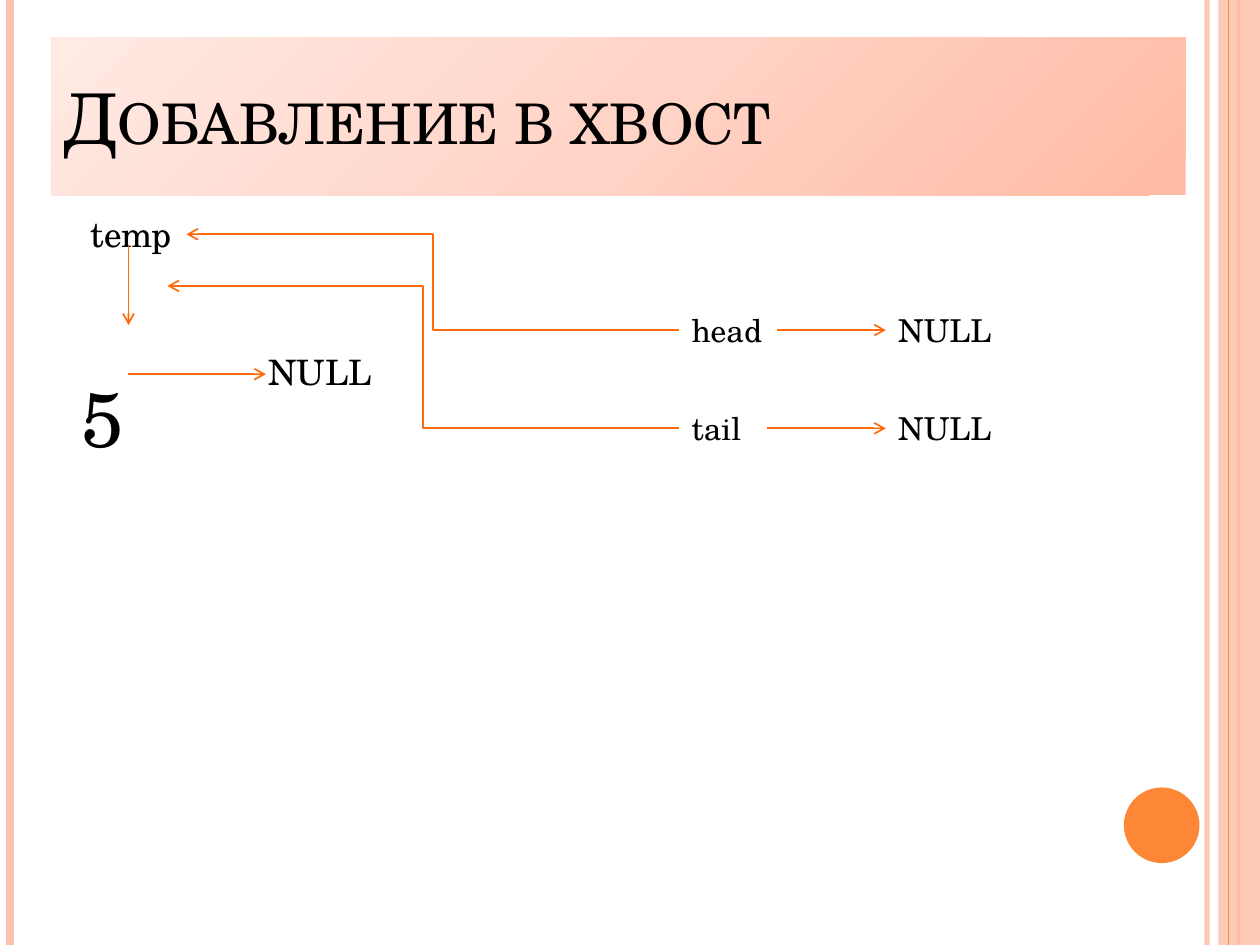
from dataclasses import dataclass
from typing import Optional

from lxml import etree
from pptx import Presentation
from pptx.dml.color import RGBColor
from pptx.enum.shapes import MSO_CONNECTOR, MSO_SHAPE
from pptx.enum.text import MSO_ANCHOR, MSO_AUTO_SIZE, PP_ALIGN
from pptx.oxml import parse_xml
from pptx.oxml.ns import nsdecls, qn
from pptx.util import Inches, Pt

STRAIGHT, ELBOW = MSO_CONNECTOR.STRAIGHT, MSO_CONNECTOR.ELBOW
RECTANGLE, OVAL = MSO_SHAPE.RECTANGLE, MSO_SHAPE.OVAL
LEFT_SIDE, RIGHT_SIDE = 1, 3
TITLE_ONLY = 5


@dataclass(frozen=True)
class Theme:
    font: str = "TeX Gyre Schola"
    text: str = "000000"
    arrow: str = "FF6B0A"
    accent: str = "FE8637"
    pale: str = "FEC3AE"
    gradient: tuple = ((0, "FFBBA3"), (50, "FFD4C7"), (100, "FFEAE4"))
    title_size: int = 40
    value_size: int = 44
    node_size: int = 20
    pointer_size: int = 18


@dataclass(frozen=True)
class Stripe:
    x: float
    color: str
    width: float
    opacity: int = 100


@dataclass(frozen=True)
class Label:
    name: str
    text: str
    left: float
    top: float
    width: float
    height: float
    size: int
    wrap: bool = True


@dataclass(frozen=True)
class Arrow:
    start: tuple
    end: tuple
    kind: int = STRAIGHT
    source: Optional[str] = None
    source_side: int = RIGHT_SIDE
    target: Optional[str] = None
    target_side: int = LEFT_SIDE


THEME = Theme()
HEAD_Y, TAIL_Y = 2.62, 3.4

STRIPES_BELOW = [
    Stripe(9.58, THEME.pale, 3, 93),
    Stripe(0.08, THEME.pale, 4.5),
    Stripe(9.83, THEME.accent, 1.5),
]
STRIPE_ABOVE = Stripe(9.75, THEME.accent, 0.75)

LABELS = [
    Label("temp", "temp", 0.62, 1.64, 0.86, 0.44, THEME.node_size, False),
    Label("value", "5", 0.55, 2.89, 0.39, 0.84, THEME.value_size),
    Label("next null", "NULL", 2.03, 2.73, 1.33, 0.44, THEME.node_size),
    Label("head", "head", 5.39, HEAD_Y - 0.2, 0.78, 0.4, THEME.pointer_size),
    Label("head null", "NULL", 7.03, HEAD_Y - 0.2, 1.17, 0.4, THEME.pointer_size),
    Label("tail", "tail", 5.39, TAIL_Y - 0.2, 0.7, 0.4, THEME.pointer_size),
    Label("tail null", "NULL", 7.03, TAIL_Y - 0.2, 1.09, 0.4, THEME.pointer_size),
]

ARROWS = [
    Arrow((1.02, 1.95), (1.02, 2.58)),
    Arrow((1.02, 2.97), (2.11, 2.97)),
    Arrow((6.17, HEAD_Y), (7.03, HEAD_Y), source="head", target="head null"),
    Arrow((6.09, TAIL_Y), (7.03, TAIL_Y), source="tail", target="tail null"),
    Arrow((5.39, TAIL_Y), (1.33, 2.27), ELBOW, "tail", LEFT_SIDE),
    Arrow((5.39, HEAD_Y), (1.49, 1.86), ELBOW, "head", LEFT_SIDE, "temp", RIGHT_SIDE),
]


def set_opacity(properties, percent: int) -> None:
    if percent < 100:
        color = next(properties.iter(qn("a:srgbClr")))
        etree.SubElement(color, qn("a:alpha")).set("val", str(percent * 1000))


def add_line(page, kind: int, start: tuple, end: tuple, color: str, width: float):
    line = page.shapes.add_connector(kind, *(Inches(v) for v in (*start, *end)))
    line.line.color.rgb = RGBColor.from_string(color)
    line.line.width = Pt(width)
    etree.SubElement(line._element.spPr, qn("a:effectLst"))
    return line


def add_stripe(page, stripe: Stripe) -> None:
    line = add_line(page, STRAIGHT, (stripe.x, 0), (stripe.x, 7.5), stripe.color, stripe.width)
    set_opacity(line._element.spPr, stripe.opacity)


def add_solid(page, kind: int, at: tuple, color: str, opacity: int = 100) -> None:
    shape = page.shapes.add_shape(kind, *(Inches(v) for v in at))
    shape.shadow.inherit = False
    shape.fill.solid()
    shape.fill.fore_color.rgb = RGBColor.from_string(color)
    shape.line.fill.background()
    set_opacity(shape._element.spPr, opacity)


def add_span(para, text: str, size: int):
    span = para.add_run()
    span.text = text
    span.font.name = THEME.font
    span.font.size = Pt(size)
    span.font.color.rgb = RGBColor.from_string(THEME.text)
    return span


def add_label(page, label: Label):
    box = page.shapes.add_textbox(
        Inches(label.left), Inches(label.top), Inches(label.width), Inches(label.height))
    box.text_frame.word_wrap = label.wrap
    box.text_frame.auto_size = MSO_AUTO_SIZE.SHAPE_TO_FIT_TEXT
    add_span(box.text_frame.paragraphs[0], label.text, label.size)
    return box


def add_arrow(page, arrow: Arrow, boxes: dict) -> None:
    line = add_line(page, arrow.kind, arrow.start, arrow.end, THEME.arrow, 1)
    if arrow.source:
        line.begin_connect(boxes[arrow.source], arrow.source_side)
    if arrow.target:
        line.end_connect(boxes[arrow.target], arrow.target_side)
    outline = line._element.spPr.find(qn("a:ln"))
    etree.SubElement(outline, qn("a:tailEnd")).set("type", "arrow")


def fill_title(page, text: str) -> None:
    title = page.shapes.title
    title.left, title.top = Inches(0.41), Inches(0.3)
    title.width, title.height = Inches(9), Inches(1.25)
    stops = "".join(
        f'<a:gs pos="{position * 1000}"><a:srgbClr val="{color}"/></a:gs>'
        for position, color in THEME.gradient)
    title._element.spPr.append(parse_xml(
        f'<a:gradFill {nsdecls("a")} rotWithShape="1"><a:gsLst>{stops}</a:gsLst>'
        '<a:lin ang="13500000" scaled="0"/></a:gradFill>'))
    frame = title.text_frame
    frame.word_wrap = True
    frame.auto_size = MSO_AUTO_SIZE.NONE
    frame.vertical_anchor = MSO_ANCHOR.MIDDLE
    para = frame.paragraphs[0]
    para.alignment = PP_ALIGN.LEFT
    span = add_span(para, text, THEME.title_size)
    span._r.get_or_add_rPr().set("cap", "small")


def main() -> None:
    deck = Presentation()
    deck.slide_width, deck.slide_height = Inches(10), Inches(7.5)
    page = deck.slides.add_slide(deck.slide_layouts[TITLE_ONLY])

    # Side decoration
    for stripe in STRIPES_BELOW:
        add_stripe(page, stripe)
    add_solid(page, RECTANGLE, (9.67, 0, 0.33, 7.5), THEME.pale, 87)
    add_stripe(page, STRIPE_ABOVE)
    add_solid(page, OVAL, (8.92, 6.25, 0.6, 0.6), THEME.accent)

    # Title and list diagram
    fill_title(page, "Добавление в хвост")
    boxes = {label.name: add_label(page, label) for label in LABELS}
    for arrow in ARROWS:
        add_arrow(page, arrow, boxes)

    deck.save("out.pptx")


if __name__ == "__main__":
    main()
